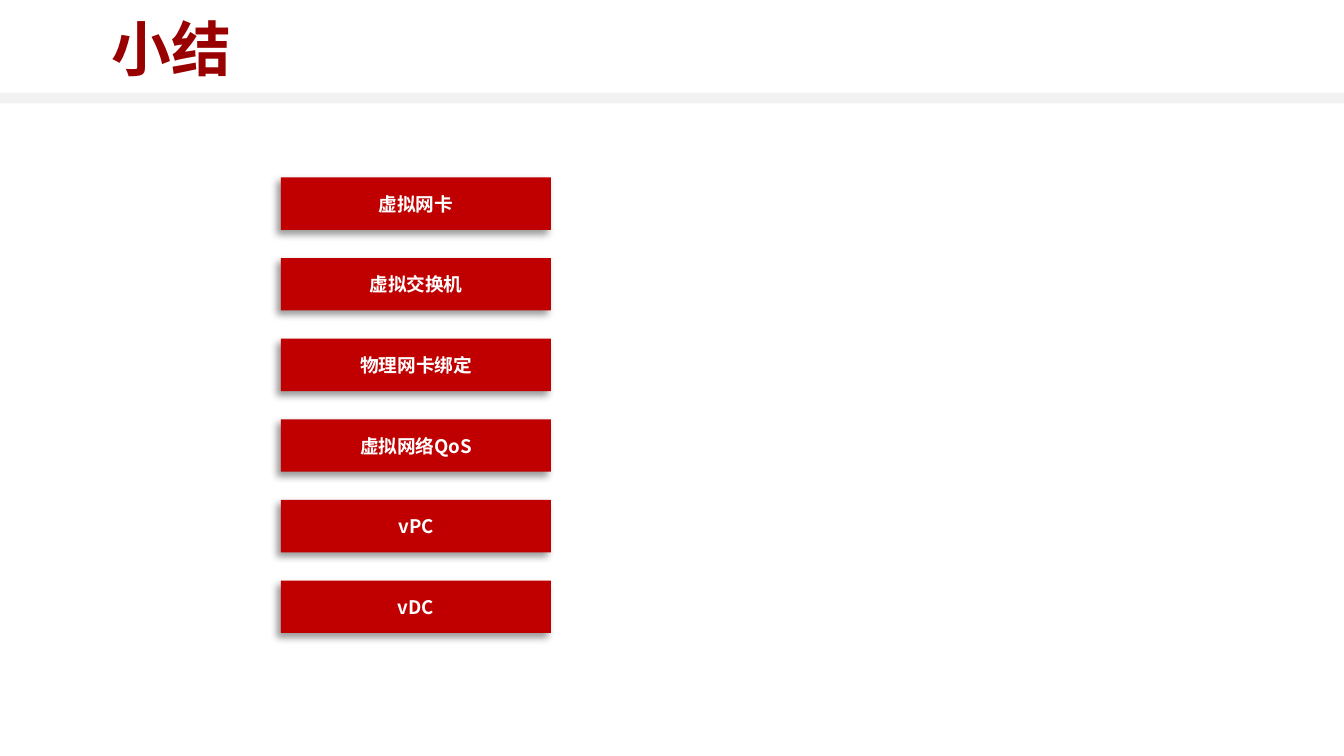
from lxml.etree import SubElement
from pptx import Presentation
from pptx.dml.color import RGBColor
from pptx.enum.shapes import MSO_SHAPE
from pptx.enum.text import MSO_ANCHOR, PP_ALIGN
from pptx.oxml.ns import qn
from pptx.util import Inches, Pt

FONT = "Noto Sans CJK SC"
TOPICS = ["虚拟网卡", "虚拟交换机", "物理网卡绑定", "虚拟网络QoS", "vPC", "vDC"]


def color(hex_value):
    return RGBColor.from_string(hex_value)


def set_text(shape, text, size, text_color, align):
    frame = shape.text_frame
    frame.text = text
    frame.word_wrap = True
    frame.vertical_anchor = MSO_ANCHOR.MIDDLE
    paragraph = frame.paragraphs[0]
    paragraph.alignment = align
    font = paragraph.runs[0].font
    font.size = Pt(size)
    font.bold = True
    font.name = FONT
    font.color.rgb = color(text_color)
    # Chinese characters take the East Asian typeface
    SubElement(font._element, qn("a:ea"), typeface=FONT)


def add_bar(slide, left, top, width, height, fill):
    bar = slide.shapes.add_shape(
        MSO_SHAPE.RECTANGLE, Inches(left), Inches(top), Inches(width), Inches(height))
    bar.shadow.inherit = False
    bar.fill.solid()
    bar.fill.fore_color.rgb = color(fill)
    bar.line.fill.background()
    return bar


def add_drop_shadow(shape):
    effects = shape._element.spPr.find(qn("a:effectLst"))
    shadow = SubElement(effects, qn("a:outerShdw"), blurRad=str(Pt(4)), dist=str(Pt(3)),
                        dir=str(135 * 60000), algn="tr", rotWithShape="0")
    black = SubElement(shadow, qn("a:srgbClr"), val="000000")
    SubElement(black, qn("a:alpha"), val="40000")


def add_header(slide, left, top, width, height):
    # Divider below the title
    add_bar(slide, left, top + height - 0.08, width, 0.08, "F2F2F2")
    # Title
    title = slide.shapes.add_textbox(
        Inches(left + 0.83), Inches(top), Inches(8.35), Inches(0.71))
    set_text(title, "小结", 32, "990000", PP_ALIGN.LEFT)
    frame = title.text_frame
    frame.margin_left = 0
    frame.margin_right = Inches(0.09)
    frame.margin_top = frame.margin_bottom = Inches(0.04)


def add_topics(slide, left, top, width, height):
    bar_height = 0.39
    pitch = (height - bar_height) / (len(TOPICS) - 1)
    for row, topic in enumerate(TOPICS):
        bar = add_bar(slide, left, top + row * pitch, width, bar_height, "C00000")
        add_drop_shadow(bar)
        set_text(bar, topic, 10, "FFFFFF", PP_ALIGN.CENTER)


def main():
    deck = Presentation()
    deck.slide_width = Inches(10)
    deck.slide_height = Inches(10 * 9 / 16)
    slide = deck.slides.add_slide(deck.slide_layouts[6])
    add_header(slide, 0, 0, 10, 0.77)
    add_topics(slide, 2.09, 1.32, 2.01, 3.39)
    deck.save("out.pptx")


if __name__ == "__main__":
    main()
